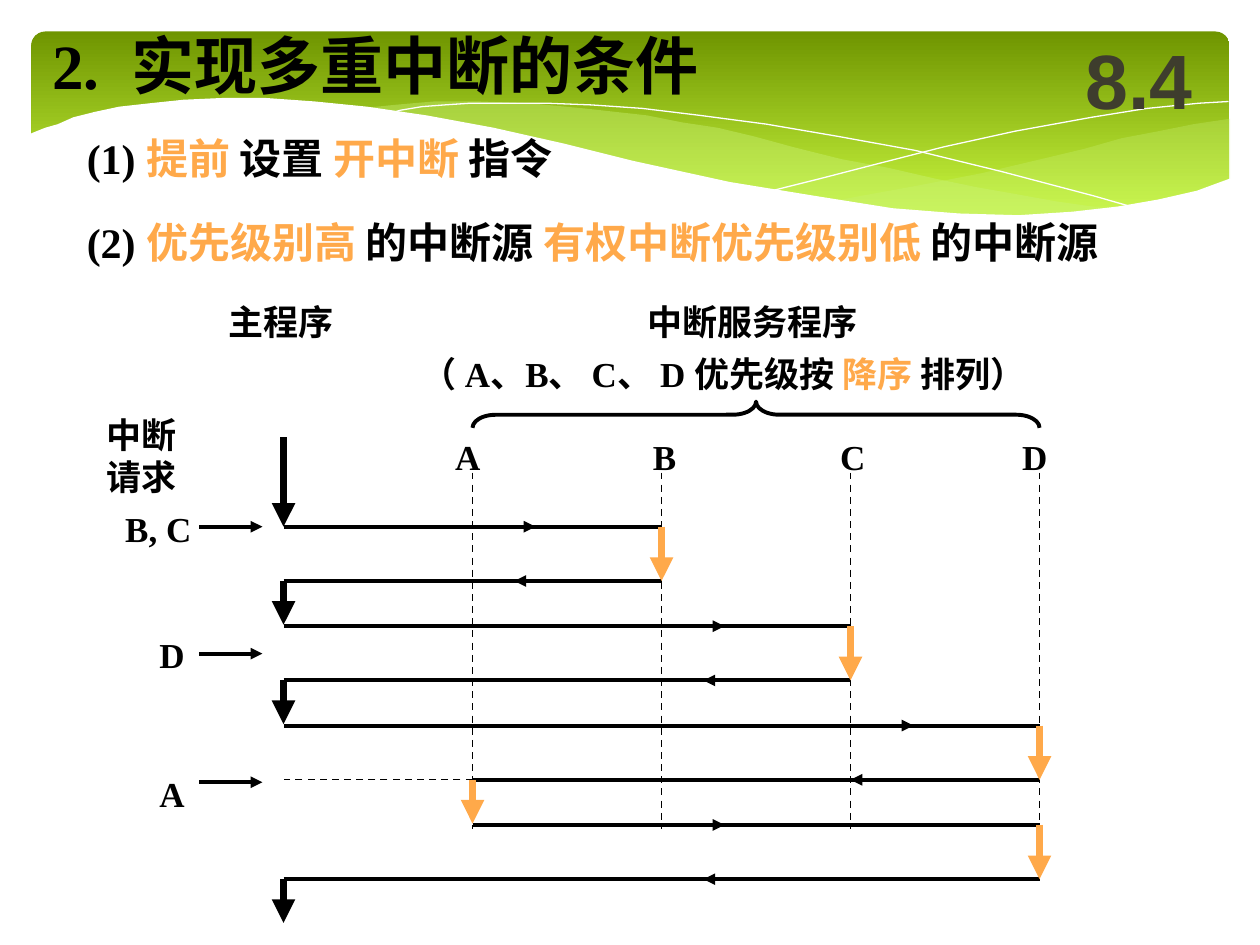
import pptx
import pptx.util
import pptx.dml.color
import pptx.enum.dml
import pptx.enum.shapes
import pptx.enum.text
import pptx.oxml
import pptx.oxml.ns
import lxml.etree

Pt = pptx.util.Pt
qn = pptx.oxml.ns.qn
RGB = pptx.dml.color.RGBColor.from_string
Shapes = pptx.enum.shapes.MSO_SHAPE
Anchor = pptx.enum.text.MSO_ANCHOR
AutoSize = pptx.enum.text.MSO_AUTO_SIZE
COLORS = {"ink": "000000", "accent": "FFA94A", "number": "3E3D2D", "white": "FFFFFF",
          "green_top": "6F9500", "green_bottom": "D0FF44", "wave": "CAF278"}

deck = pptx.Presentation()
deck.slide_width, deck.slide_height = Pt(720), Pt(540)
page = deck.slides.add_slide(deck.slide_layouts[6])


def add_line(x1, y1, x2, y2, width=2.25, color="ink", arrow=False, dashed=False):
    line = page.shapes.add_connector(pptx.enum.shapes.MSO_CONNECTOR.STRAIGHT,
                                     Pt(x1), Pt(y1), Pt(x2), Pt(y2))
    line.line.width = Pt(width)
    line.line.color.rgb = RGB(COLORS[color])
    if dashed:
        line.line.dash_style = pptx.enum.dml.MSO_LINE.DASH
    if arrow:
        lxml.etree.SubElement(line.line._get_or_add_ln(), qn("a:tailEnd"), type="triangle")
    lxml.etree.SubElement(line._element.spPr, qn("a:effectLst"))


def add_text(left, top, width, height, paragraphs, size=20, font="Times New Roman", wrap=False):
    box = page.shapes.add_textbox(Pt(left), Pt(top), Pt(width), Pt(height))
    frame = box.text_frame
    frame.word_wrap = wrap
    frame.auto_size = AutoSize.NONE if wrap else AutoSize.SHAPE_TO_FIT_TEXT
    for number, spans in enumerate(paragraphs):
        para = frame.add_paragraph() if number else frame.paragraphs[0]
        for text, color in spans:
            span = para.add_run()
            span.text = text
            span.font.name = font
            span.font.size = Pt(size)
            span.font.bold = True
            span.font.color.rgb = RGB(COLORS[color])
    return frame


# Green banner
banner = page.shapes.add_shape(Shapes.ROUNDED_RECTANGLE, Pt(18), Pt(18), Pt(684.5), Pt(112.5))
banner.adjustments[0] = 0.07
banner.shadow.inherit = False
banner.line.fill.background()
banner.fill.gradient()
banner.fill.gradient_angle = 270
for stop, color in zip(banner.fill.gradient_stops, ("green_top", "green_bottom")):
    stop.color.rgb = RGB(COLORS[color])

# Waves: points, fill colour (None for a thin white line), opacity in percent
right_wave = [(702, 68), (682, 71), (662, 75), (641, 79), (620, 85), (599, 90), (561, 99),
              (525, 106), (492, 112), (476, 115), (508, 119), (536, 122), (563, 123),
              (586, 124), (608, 123), (628, 122), (646, 119), (663, 115), (678, 111),
              (693, 106), (703, 102), (703, 68)]
middle_wave = [(643, 120), (624, 118), (603, 115), (581, 111), (558, 107), (534, 102),
               (508, 96), (481, 91), (453, 84), (431, 78), (410, 73), (390, 70), (370, 66),
               (352, 64), (334, 62), (302, 59), (274, 58), (248, 58), (225, 60), (206, 62),
               (233, 65), (261, 70), (291, 76), (323, 84), (354, 91), (382, 97), (408, 103),
               (433, 108), (456, 112), (479, 116), (500, 119), (520, 121), (539, 122),
               (556, 124), (573, 124), (589, 125), (603, 124), (617, 123), (631, 122)]
falling_line = [(222, 65), (229, 63), (241, 61), (254, 60), (269, 59), (289, 59), (312, 59),
                (338, 60), (367, 62), (400, 66), (438, 71), (479, 78), (523, 86), (572, 98),
                (625, 112), (653, 120)]
rising_line = [(441, 109), (469, 102), (500, 94), (539, 84), (580, 75), (624, 67), (655, 62),
               (685, 59), (702, 58)]
white_wave = [(703, 102), (684, 109), (662, 114), (639, 118), (613, 121), (582, 123),
              (548, 122), (510, 119), (466, 112), (417, 104), (362, 92), (322, 82), (282, 73),
              (244, 66), (210, 61), (180, 58), (152, 56), (127, 56), (105, 57), (86, 59),
              (68, 61), (54, 64), (42, 67), (33, 71), (26, 73), (16.5, 77), (16.5, 161),
              (703, 161)]
for points, color, opacity in [(right_wave, "wave", 29), (middle_wave, "wave", 40),
                               (falling_line, None, 100), (rising_line, None, 100),
                               (white_wave, "white", 100)]:
    builder = page.shapes.build_freeform(*points[0], scale=Pt(1))
    builder.add_line_segments(points[1:], close=color is not None)
    wave = builder.convert_to_shape()
    wave.shadow.inherit = False
    if color is None:
        wave.fill.background()
        wave.line.color.rgb = RGB(COLORS["white"])
        wave.line.width = Pt(0)
        continue
    wave.line.fill.background()
    wave.fill.solid()
    wave.fill.fore_color.rgb = RGB(COLORS[color])
    if opacity < 100:
        tint = wave._element.spPr.find(".//" + qn("a:srgbClr"))
        lxml.etree.SubElement(tint, qn("a:alpha"), val=str(opacity * 1000))

# Title and section number
title = add_text(30, 20, 425, 34, [[("2.  实现多重中断的条件", "ink")]], size=36, wrap=True)
title.margin_left = title.margin_right = title.margin_top = title.margin_bottom = 0
section = add_text(606, 12, 90, 66, [[("8.4", "number")]], size=44, font="Arial", wrap=True)
section.paragraphs[0].alignment = pptx.enum.text.PP_ALIGN.CENTER
for frame in (title, section):
    frame.vertical_anchor = Anchor.MIDDLE

# Two conditions
add_text(42.5, 72, 323, 36, [[("(1) ", "ink"), ("提前 ", "accent"), ("设置 ", "ink"),
                              ("开中断 ", "accent"), ("指令", "ink")]], size=24, wrap=True)
add_text(42.5, 120, 641.5, 36, [[("(2) ", "ink"), ("优先级别高 ", "accent"), ("的中断源 ", "ink"),
                                 ("有权中断优先级别低 ", "accent"), ("的中断源", "ink")]],
         size=24, wrap=True)

# Diagram headings
add_text(123.5, 168, 78, 31.5, [[("主程序", "ink")]])
add_text(363, 168, 139, 31.5, [[("中断服务程序", "ink")]])
add_text(234, 198, 399, 31.5, [[("（ A、B、 C、 D 优先级按 ", "ink"), ("降序 ", "accent"),
                                ("排列）", "ink")]])
add_text(54, 232.5, 58, 55.5, [[("中断", "ink")], [("请求", "ink")]])
brace = page.shapes.add_shape(Shapes.LEFT_BRACE, Pt(424.5), Pt(75), Pt(15), Pt(324))
brace.rotation = 90
brace.adjustments[0] = 0.89
brace.shadow.inherit = False
brace.fill.background()
brace.line.color.rgb = RGB(COLORS["ink"])
brace.line.width = Pt(2.25)

# Service routine lanes
lanes = {name: 162 + 108 * number for number, name in enumerate(["main", "A", "B", "C", "D"])}
for name, left in [("A", 253), ("B", 366), ("C", 473), ("D", 577)]:
    add_text(left, 245.5, 31, 31.5, [[(name, "ink")]])
    add_line(lanes[name], 270, lanes[name], 474, width=1, dashed=True)

# Interrupt requests
for name, left, top, width, arrow_y in [("B, C", 64.5, 286.5, 58, 301),
                                        ("D", 84, 358.5, 31, 373.5), ("A", 84, 438, 31, 447)]:
    add_text(left, top, width, 31.5, [[(name, "ink")]])
    add_line(114, arrow_y, 150, arrow_y, arrow=True)

# Program flow: caller, routine, lane returned to, starts of the two direction marks
add_line(lanes["main"], 250, lanes["main"], 301, width=4.5, arrow=True)
add_line(lanes["A"], 445.5, lanes["main"], 445.5, width=1, dashed=True)
flow = [("main", "B", "main", 270, 330), ("main", "C", "main", 378, 438),
        ("main", "D", "A", 486, 522), ("A", "D", "main", 378, 438)]
for step, (caller, routine, target, call_mark, return_mark) in enumerate(flow):
    call_y = 301 + 56.8 * step
    return_y = call_y + 31
    add_line(lanes[caller], call_y, lanes[routine], call_y)
    add_line(call_mark, call_y, call_mark + 36, call_y, arrow=True)
    add_line(lanes[target], return_y, lanes[routine], return_y)
    add_line(return_mark, return_y, return_mark - 36, return_y, arrow=True)
    add_line(lanes[routine], call_y, lanes[routine], return_y, 4.5, "accent", arrow=True)
    add_line(lanes[target], return_y, lanes[target], return_y + 25, 4.5,
             "ink" if target == "main" else "accent", arrow=True)

deck.save("out.pptx")
